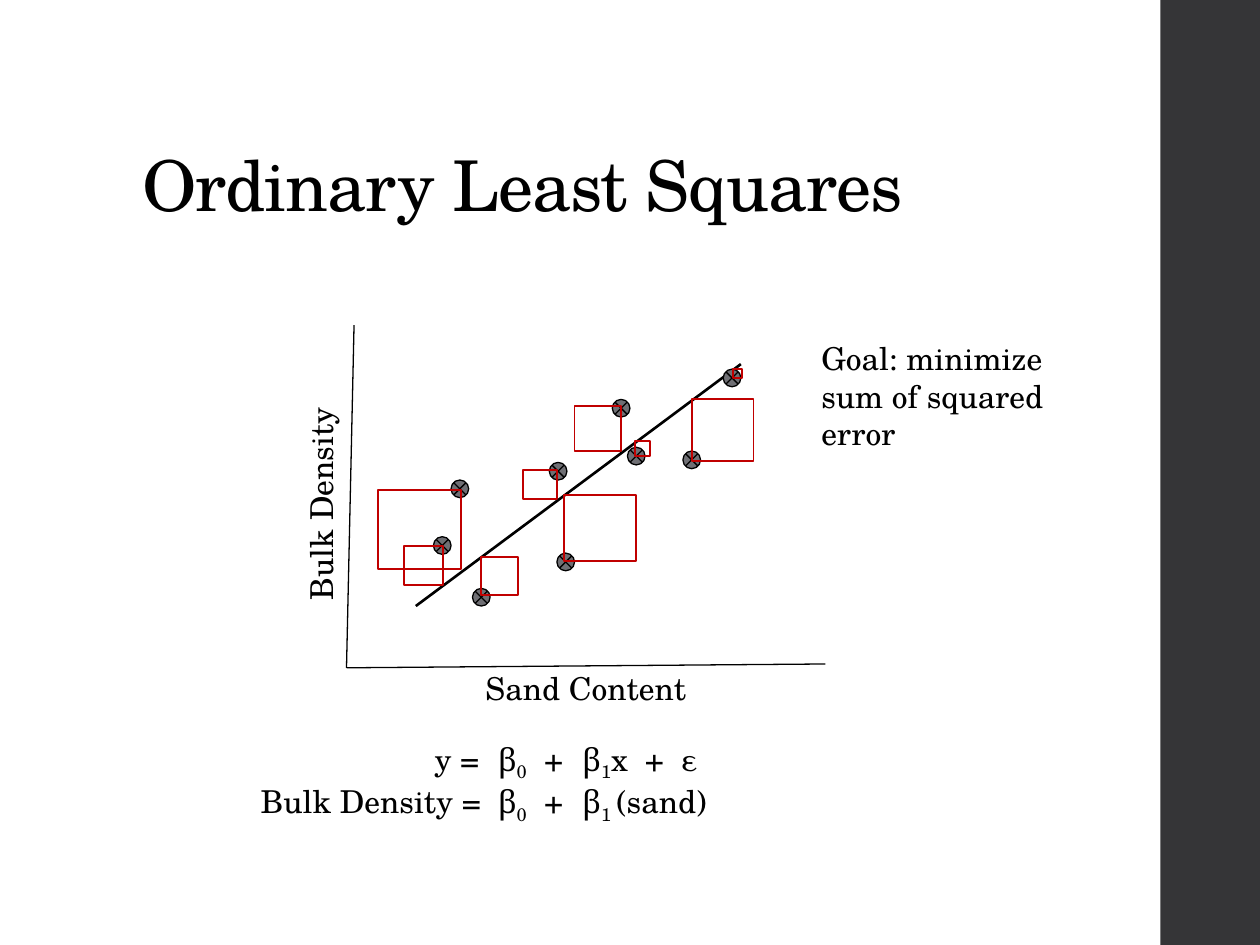
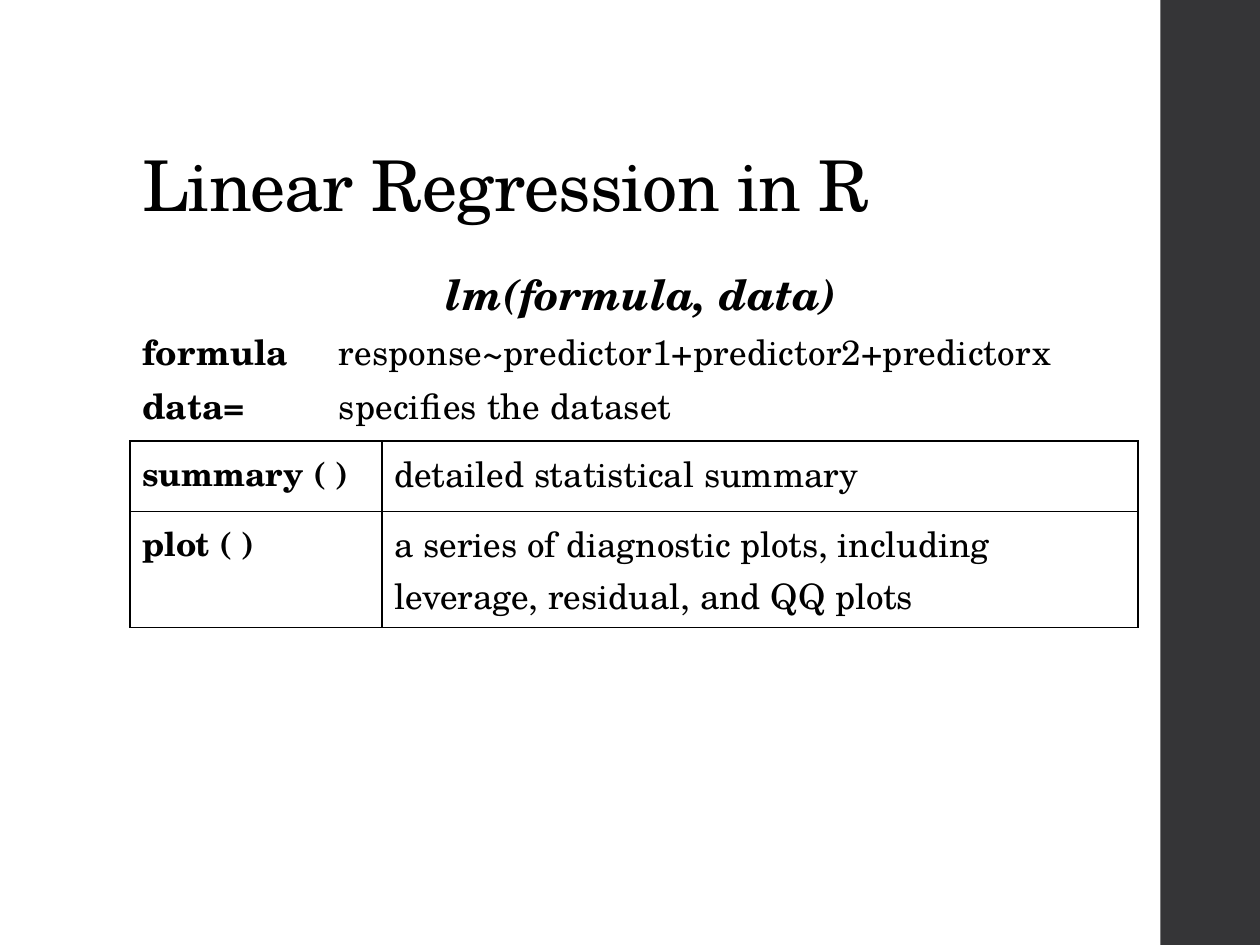
from lxml import etree
from pptx import Presentation
from pptx import util as u
from pptx.dml.color import RGBColor
from pptx.enum import shapes, text
from pptx.oxml import ns

BLACK = RGBColor(0x00, 0x00, 0x00)
WHITE = RGBColor(0xFF, 0xFF, 0xFF)
BAND = RGBColor(0x35, 0x35, 0x37)
POINT_GRAY = RGBColor(0x6F, 0x6F, 0x74)
ERROR_RED = RGBColor(0xC0, 0x00, 0x00)
FONT = "TeX Gyre Schola"
SYMBOL_FONT = "Cambria"
POINT_SIZE = 0.14

# Observations: left, top of each marker
POINTS = [(3.44, 4.26), (4.36, 3.67), (3.58, 3.81), (4.86, 3.17), (3.75, 4.67),
          (4.42, 4.39), (4.98, 3.55), (5.42, 3.58), (5.74, 2.93)]
# Squared errors: left, top, width, height
ERROR_SQUARES = [
    (3.21, 4.33, 0.31, 0.31), (3, 3.89, 0.66, 0.63), (4.56, 3.22, 0.37, 0.36),
    (4.15, 3.73, 0.27, 0.23), (3.82, 4.42, 0.29, 0.3), (4.48, 3.93, 0.57, 0.52),
    (5.49, 3.17, 0.49, 0.49), (5.04, 3.5, 0.12, 0.12), (5.82, 2.93, 0.07, 0.07)]
FUNCTIONS = [("summary ( )", "detailed statistical summary"),
             ("plot ( )", "a series of diagnostic plots, including "
                          "leverage, residual, and QQ plots")]


def sub(parent, tag, **attributes):
    return etree.SubElement(parent, ns.qn(tag), attributes)


def inches(values):
    return [u.Inches(value) for value in values]


def write(frame, paragraphs, align=None, line=None, after=None, tabs=(), **base):
    """Fill a frame; a paragraph is a string or a list of (text, format) runs."""
    for index, content in enumerate(paragraphs):
        paragraph = frame.paragraphs[0] if index == 0 else frame.add_paragraph()
        paragraph.alignment = align
        paragraph.line_spacing = line
        if after is not None:
            paragraph.space_after = u.Pt(after)
        if tabs:
            stops = sub(paragraph._p.get_or_add_pPr(), "a:tabLst")
            for stop in tabs:
                sub(stops, "a:tab", pos=str(u.Inches(stop)), algn="l")
        runs = [(content, {})] if isinstance(content, str) else content
        for words, changes in runs:
            format_run(paragraph.add_run(), words, **{**base, **changes})


def format_run(run, words, size=18, font=FONT, bold=False, italic=False,
               spacing=0, baseline=0):
    run.text = words
    run.font.size = u.Pt(size)
    run.font.name = font
    run.font.bold = bold
    run.font.italic = italic
    run.font.color.rgb = BLACK
    properties = run.font._element
    if spacing:
        properties.set("spc", str(spacing))
    if baseline:
        properties.set("baseline", str(baseline))


def add_text(slide, box, paragraphs, anchor=text.MSO_ANCHOR.TOP, wrap=True,
             rotation=0, **style):
    label = slide.shapes.add_textbox(*inches(box))
    label.rotation = rotation
    label.text_frame.word_wrap = wrap
    label.text_frame.vertical_anchor = anchor
    write(label.text_frame, paragraphs, **style)


def add_shape(slide, kind, box, fill=None, line=None, width=0.75):
    shape = slide.shapes.add_shape(kind, *inches(box))
    shape.shadow.inherit = False
    if fill is None:
        shape.fill.background()
    else:
        shape.fill.solid()
        shape.fill.fore_color.rgb = fill
    if line is None:
        shape.line.fill.background()
    else:
        shape.line.color.rgb = line
        shape.line.width = u.Pt(width)


def add_line(slide, start, end, width=0.75):
    line = slide.shapes.add_connector(
        shapes.MSO_CONNECTOR.STRAIGHT, *inches(start + end))
    line.line.color.rgb = BLACK
    line.line.width = u.Pt(width)
    sub(line._element.spPr, "a:effectLst")


def border_cell(cell):
    properties = cell._tc.get_or_add_tcPr()
    for position, side in enumerate(("a:lnL", "a:lnR", "a:lnT", "a:lnB")):
        edge = etree.Element(ns.qn(side), w=str(u.Pt(1)))
        sub(sub(edge, "a:solidFill"), "a:srgbClr", val=str(BLACK))
        properties.insert(position, edge)


def add_function_table(slide, box, rows, widths, heights):
    table = slide.shapes.add_table(len(rows), len(widths), *inches(box)).table
    table.first_row = table.horz_banding = False
    for column, width in zip(table.columns, inches(widths)):
        column.width = width
    for row, height, entries in zip(table.rows, inches(heights), rows):
        row.height = height
        for index, (cell, words) in enumerate(zip(row.cells, entries)):
            is_name = index == 0
            cell.fill.solid()
            cell.fill.fore_color.rgb = WHITE
            border_cell(cell)
            write(cell.text_frame, [words], size=19 if is_name else 20,
                  bold=is_name)


def add_titled_slide(deck, title):
    slide = deck.slides.add_slide(deck.slide_layouts[6])
    add_shape(slide, shapes.MSO_SHAPE.RECTANGLE, (9.21, 0, 0.79, 7.5), BAND)
    add_text(slide, (1.03, 0.4, 7.95, 1.45), [title], line=0.9, size=40,
             spacing=-50, anchor=text.MSO_ANCHOR.BOTTOM)
    return slide


def beta(index):
    return [("β", {"font": SYMBOL_FONT}), (index, {"baseline": -25000})]


def build_least_squares(deck):
    slide = add_titled_slide(deck, "Ordinary Least Squares")
    center = text.PP_ALIGN.CENTER

    # Axes and their labels
    origin = (2.75, 5.3)
    add_line(slide, (2.81, 2.58), origin)
    add_line(slide, origin, (6.55, 5.27))
    add_text(slide, (1.44, 3.8, 2.22, 0.4), ["Bulk Density"], rotation=270,
             align=center)
    add_text(slide, (2.6, 5.26, 4.1, 0.4), ["Sand Content"], align=center)

    # Observations, fitted line and squared errors
    add_line(slide, (3.3, 4.81), (5.88, 2.89), width=1.5)
    for point in POINTS:
        add_shape(slide, shapes.MSO_SHAPE.FLOWCHART_SUMMING_JUNCTION,
                  point + (POINT_SIZE, POINT_SIZE), POINT_GRAY, BLACK)
    for square in ERROR_SQUARES:
        add_shape(slide, shapes.MSO_SHAPE.RECTANGLE, square,
                  line=ERROR_RED, width=1.1)

    # Model equations, aligned on shared tab stops
    intercept = beta("0") + [("\t+\t", {})]
    model = [("\ty =\t", {})] + intercept + beta("1") + [("x\t+\tε", {})]
    example = ([("Bulk Density =\t", {})] + intercept + beta("1 ")
               + [("(sand)", {})])
    add_text(slide, (1.97, 5.82, 5.25, 0.71), [model, example],
             tabs=(1.38, 1.88, 2.25, 2.55, 3.05, 3.34))

    # Goal
    add_text(slide, (6.42, 2.64, 2.05, 1.01),
             ["Goal: minimize", "sum of squared", "error"], wrap=False)


def build_regression_in_r(deck):
    slide = add_titled_slide(deck, "Linear Regression in R")
    body = {"line": 1.2, "after": 2, "spacing": 10}

    # Call and its arguments
    add_text(slide, (1.03, 2, 8.13, 0.6), ["lm(formula, data)"], size=24,
             bold=True, italic=True, align=text.PP_ALIGN.CENTER, **body)
    arguments = [("formula", "response~predictor1+predictor2+predictorx"),
                 ("data=", "specifies the dataset")]
    add_text(slide, (1.03, 2.51, 8.13, 0.95),
             [[(name, {"bold": True}), ("\t" + meaning, {})]
              for name, meaning in arguments],
             size=20, tabs=(1.56,), **body)

    # Functions for the fitted model
    add_function_table(slide, (1.03, 3.5, 8, 1.48), FUNCTIONS,
                       widths=(2, 6), heights=(0.56, 0.92))


def main():
    deck = Presentation()
    deck.slide_width, deck.slide_height = inches((10, 7.5))
    build_least_squares(deck)
    build_regression_in_r(deck)
    deck.save("out.pptx")


if __name__ == "__main__":
    main()
